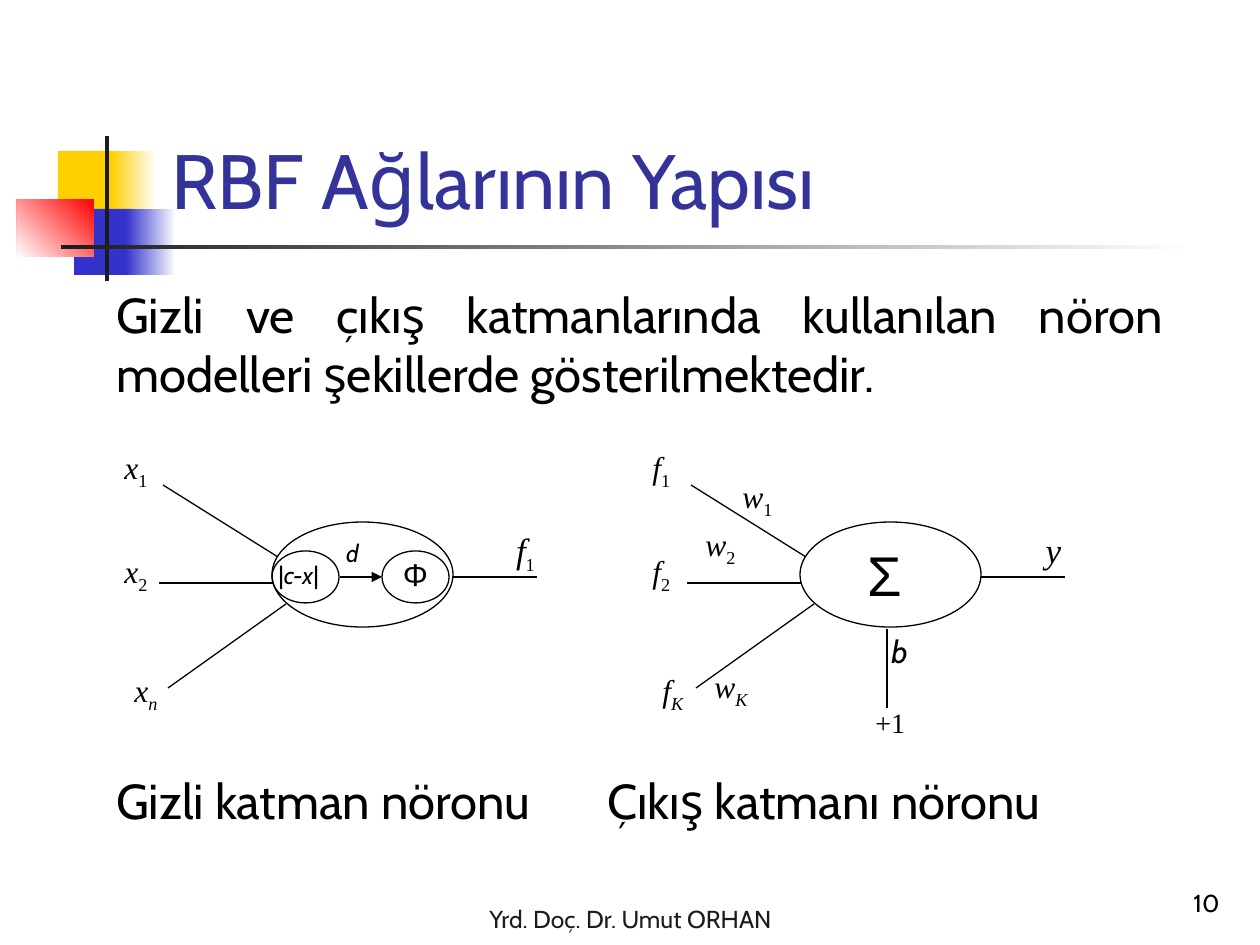
from dataclasses import dataclass

from lxml import etree
from pptx import Presentation
from pptx.dml.color import RGBColor
from pptx.enum.shapes import MSO_CONNECTOR, MSO_SHAPE
from pptx.enum.text import MSO_ANCHOR, PP_ALIGN
from pptx.oxml.ns import qn
from pptx.util import Pt

RECT, OVAL = MSO_SHAPE.RECTANGLE, MSO_SHAPE.OVAL
STRAIGHT = MSO_CONNECTOR.STRAIGHT
TOP, BOTTOM = MSO_ANCHOR.TOP, MSO_ANCHOR.BOTTOM
LEFT, CENTER, RIGHT, JUSTIFY = PP_ALIGN.LEFT, PP_ALIGN.CENTER, PP_ALIGN.RIGHT, PP_ALIGN.JUSTIFY
PX = 914400 / 126


@dataclass(frozen=True)
class Theme:
    # colours
    ink: str = "000000"
    dark: str = "1C1C1C"
    title: str = "333399"
    yellow: str = "FFCF01"
    blue: str = "3333CC"
    red: str = "FF0000"
    white: str = "FFFFFF"
    # fonts
    sans: str = "Cabin"
    math: str = "Times New Roman"
    symbol: str = "Arial"
    # type sizes
    title_size: int = 44
    sum_size: int = 32
    body_size: int = 28
    output_size: int = 20
    label_size: int = 18
    bias_size: int = 16
    small_size: int = 14
    # lines
    stroke: float = 0.75


def emu(*lengths):
    return [round(length * PX) for length in lengths]


class SlideBuilder:
    def __init__(self, slide, theme):
        self.shapes = slide.shapes
        self.theme = theme

    def block(self, box, color, fade_angle=None):
        """Borderless rectangle, solid or fading to white (angle counter-clockwise)."""
        shape = self.shapes.add_shape(RECT, *emu(*box))
        shape.shadow.inherit = False
        shape.line.fill.background()
        if fade_angle is None:
            shape.fill.solid()
            shape.fill.fore_color.rgb = RGBColor.from_string(color)
            return
        shape.fill.gradient()
        shape.fill.gradient_angle = fade_angle
        for stop, stop_color in zip(shape.fill.gradient_stops, (color, self.theme.white)):
            stop.color.rgb = RGBColor.from_string(stop_color)

    def ellipse(self, box, filled=False):
        shape = self.shapes.add_shape(OVAL, *emu(*box))
        shape.shadow.inherit = False
        if filled:
            shape.fill.solid()
            shape.fill.fore_color.rgb = RGBColor.from_string(self.theme.white)
        else:
            shape.fill.background()
        self.outline(shape)

    def outline(self, shape):
        shape.line.color.rgb = RGBColor.from_string(self.theme.ink)
        shape.line.width = Pt(self.theme.stroke)

    def line(self, x1, y1, x2, y2, arrow=False):
        connector = self.shapes.add_connector(STRAIGHT, *emu(x1, y1, x2, y2))
        self.outline(connector)
        properties = connector.line._get_or_add_ln()
        if arrow:
            etree.SubElement(properties, qn("a:tailEnd"), type="triangle")
        etree.SubElement(connector._element.spPr, qn("a:effectLst"))

    def text(self, box, content, size, font=None, color=None, align=LEFT,
             anchor=TOP, italic=False):
        frame = self.shapes.add_textbox(*emu(*box)).text_frame
        frame.word_wrap = True
        frame.vertical_anchor = anchor
        paragraph = frame.paragraphs[0]
        paragraph.alignment = align
        style = paragraph.font
        style.name = font or self.theme.sans
        style.size = Pt(size)
        style.italic = italic
        style.color.rgb = RGBColor.from_string(color or self.theme.ink)
        paragraph.add_run().text = content
        return paragraph

    def symbol(self, box, name, index="", size=None, align=LEFT):
        """Italic variable with an optional subscript; numeric indices stand upright."""
        paragraph = self.text(box, name, size or self.theme.label_size,
                              self.theme.math, align=align, italic=True)
        if index:
            subscript = paragraph.add_run()
            subscript.text = index
            subscript.font.size = Pt(self.theme.label_size)
            subscript.font.italic = not index.isdigit()
            subscript._r.get_or_add_rPr().set("baseline", "-25000")

    def neuron(self, dx, inputs, output):
        """Three inputs, a cell body and one output, shifted right by dx."""
        for x1, y1, x2, y2 in ((168, 688, 286, 604), (163, 485, 286, 562), (159, 583, 281, 583)):
            self.line(x1 + dx, y1, x2 + dx, y2)
        places = ((112, 442), (112, 546), (122, 665))
        for (x, y), (name, index) in zip(places, inputs):
            self.symbol((x + dx, y, 95, 55), name, index)
        self.line(436 + dx, 577, 537 + dx, 577)
        self.ellipse((272 + dx, 522, 181, 105), filled=True)
        self.symbol((481 + dx, 522, 89, 57), *output, size=self.theme.output_size, align=CENTER)


def main():
    theme = Theme()
    deck = Presentation()
    deck.slide_width, deck.slide_height = emu(1260, 945)
    page = SlideBuilder(deck.slides.add_slide(deck.slide_layouts[6]), theme)

    # Corner ornament and title rule
    page.block((58, 151, 60, 66), theme.yellow)
    page.block((111, 151, 45, 66), theme.yellow, 0)
    page.block((74, 209, 58, 66), theme.blue)
    page.block((126, 209, 50, 66), theme.blue, 0)
    page.block((17, 199, 77, 58), theme.red, 225)
    page.block((105, 136, 4, 145), theme.dark)
    page.block((61, 245, 1134, 4), theme.dark, 0)

    # Title, introduction and captions
    page.text((159, 29, 1074, 202), "RBF Ağlarının Yapısı", theme.title_size,
              color=theme.title, anchor=BOTTOM)
    page.text((104, 278, 1071, 132),
              "Gizli ve çıkış katmanlarında kullanılan nöron modelleri şekillerde gösterilmektedir.",
              theme.body_size, align=JUSTIFY)
    for x, caption in ((104, "Gizli katman nöronu"), (595, "Çıkış katmanı nöronu")):
        page.text((x, 764, 480, 72), caption, theme.body_size)

    # Hidden-layer neuron: distance followed by activation
    page.neuron(0, (("x", "1"), ("x", "2"), ("x", "n")), ("f", "1"))
    for x in (272, 382):
        page.ellipse((x, 551, 67, 52))
    page.line(340, 577, 382, 577, arrow=True)
    distance = page.text((266, 554, 101, 43), "|", theme.small_size)
    for part, slanted in (("c-x", True), ("|", False)):
        run = distance.add_run()
        run.text = part
        run.font.italic = slanted
    page.text((302, 532, 101, 43), "d", theme.small_size, align=CENTER, italic=True)
    page.text((365, 549, 101, 50), "Φ", theme.label_size, theme.symbol, align=CENTER)

    # Output-layer neuron: weighted sum with bias
    page.neuron(528, (("f", "1"), ("f", "2"), ("f", "K")), ("y",))
    for x, y, index in ((730, 471, "1"), (693, 519, "2"), (702, 661, "K")):
        page.symbol((x, y, 101, 55), "w", index)
    page.line(887, 629, 887, 708)
    page.text((863, 699, 98, 47), "+1", theme.bias_size, theme.math)
    page.text((879, 626, 101, 50), "b", theme.label_size, italic=True)
    page.text((834, 534, 101, 81), "Σ", theme.sum_size, theme.symbol, align=CENTER)

    # Footer and page number
    page.text((25, 897, 1211, 43), "Yrd. Doç. Dr. Umut ORHAN", theme.small_size,
              color=theme.dark, align=CENTER, anchor=BOTTOM)
    page.text((970, 861, 262, 63), "10", theme.small_size, align=RIGHT, anchor=BOTTOM)

    deck.save("out.pptx")


if __name__ == "__main__":
    main()
